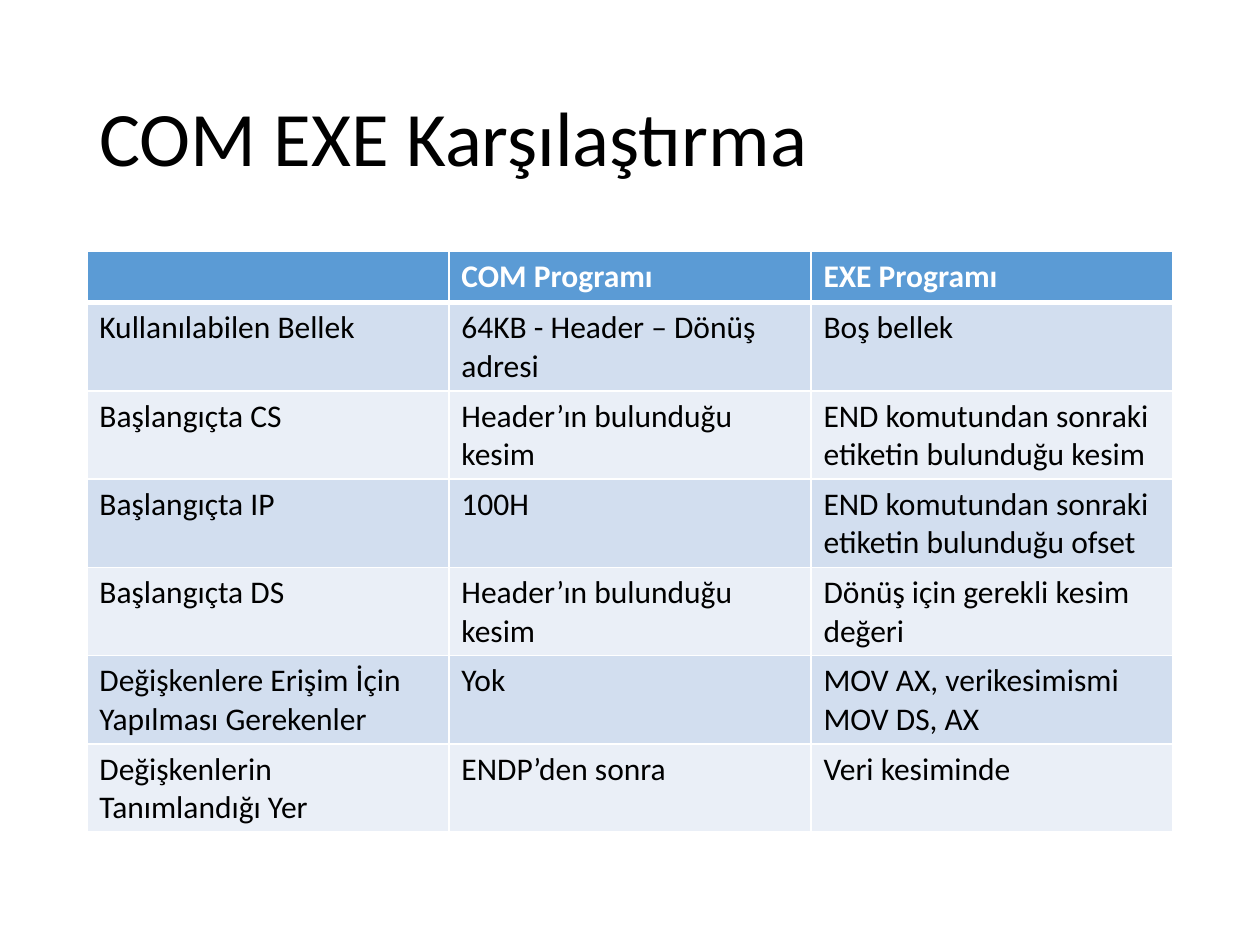
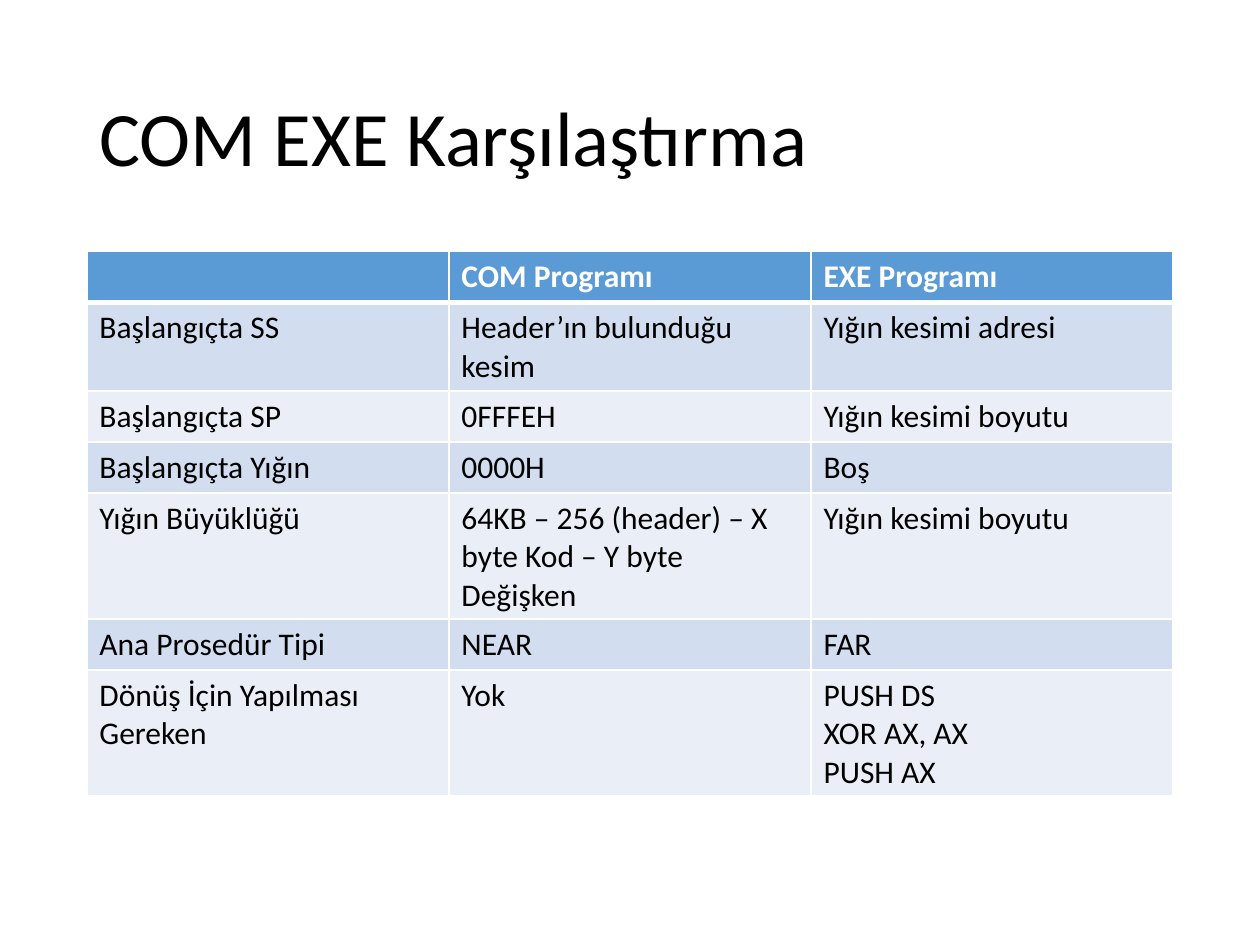
"""Build two slides that compare COM and EXE programs."""
import dataclasses

import lxml.etree
import pptx
import pptx.dml.color
import pptx.enum.text
import pptx.oxml.ns
import pptx.util

Cm = pptx.util.Cm
Pt = pptx.util.Pt


@dataclasses.dataclass(frozen=True)
class Theme:
    """Colours, font and type sizes of the deck."""
    font: str = "Calibri"
    ink: str = "000000"
    white: str = "FFFFFF"
    head: str = "5B9BD5"
    bands: tuple = ("D2DEEF", "EAEFF7")
    title: int = 44
    body: int = 18
    thin: int = 1
    thick: int = 3


THEME = Theme()
LEFT, WIDTH = Cm(1.75), Cm(21.9)
TITLE = "COM EXE Karşılaştırma"
HEADER = ("", "COM Programı", "EXE Programı")
MEMORY = (
    ("Kullanılabilen Bellek", "64KB - Header – Dönüş adresi", "Boş bellek"),
    ("Başlangıçta CS", "Header’ın bulunduğu kesim",
     "END komutundan sonraki etiketin bulunduğu kesim"),
    ("Başlangıçta IP", "100H",
     "END komutundan sonraki etiketin bulunduğu ofset"),
    ("Başlangıçta DS", "Header’ın bulunduğu kesim",
     "Dönüş için gerekli kesim değeri"),
    ("Değişkenlere Erişim İçin Yapılması Gerekenler", "Yok",
     "MOV AX, verikesimismi\nMOV DS, AX"),
    ("Değişkenlerin Tanımlandığı Yer", "ENDP’den sonra", "Veri kesiminde"),
)
STACK = (
    ("Başlangıçta SS", "Header’ın bulunduğu kesim", "Yığın kesimi adresi"),
    ("Başlangıçta SP", "0FFFEH", "Yığın kesimi boyutu"),
    ("Başlangıçta Yığın", "0000H", "Boş"),
    ("Yığın Büyüklüğü", "64KB – 256 (header) – X byte Kod – Y byte Değişken",
     "Yığın kesimi boyutu"),
    ("Ana Prosedür Tipi", "NEAR", "FAR"),
    ("Dönüş İçin Yapılması Gereken", "Yok", "PUSH DS\nXOR AX, AX\nPUSH AX"),
)


def shade(code):
    """Return the colour for a hex code."""
    return pptx.dml.color.RGBColor.from_string(code)


def write(frame, text, size=THEME.body, color=THEME.ink, bold=False, space=1.0):
    """Write each line of text as a paragraph in the given format."""
    frame.text = text
    for para in frame.paragraphs:
        para.line_spacing = space
        para.font.name = THEME.font
        para.font.size = Pt(size)
        para.font.bold = bold
        para.font.color.rgb = shade(color)


def edge(cell, sides):
    """Draw white cell borders, given widths in points by side."""
    props = cell._tc.get_or_add_tcPr()
    for place, side in enumerate("LRTB"):
        line = lxml.etree.Element(pptx.oxml.ns.qn(f"a:ln{side}"),
                                  w=str(Pt(sides.get(side, THEME.thin))))
        fill = lxml.etree.SubElement(line, pptx.oxml.ns.qn("a:solidFill"))
        lxml.etree.SubElement(fill, pptx.oxml.ns.qn("a:srgbClr"), val=THEME.white)
        props.insert(place, line)


def add_title(slide, text):
    """Add the slide title, centred vertically in its box."""
    frame = slide.shapes.add_textbox(LEFT, Cm(1.01), WIDTH, Cm(3.68)).text_frame
    frame.word_wrap = True
    frame.vertical_anchor = pptx.enum.text.MSO_ANCHOR.MIDDLE
    write(frame, text, size=THEME.title, space=0.9)


def add_grid(slide, rows):
    """Add a table with a header row and banded body rows."""
    height = Cm(1.03)
    lines = (HEADER, *rows)
    grid = slide.shapes.add_table(len(lines), len(HEADER), LEFT, Cm(5.07),
                                  WIDTH, height * len(lines)).table
    for row, line in enumerate(lines):
        grid.rows[row].height = height
        head = row == 0
        back = THEME.head if head else THEME.bands[(row - 1) % 2]
        sides = {0: {"B": THEME.thick}, 1: {"T": THEME.thick}}.get(row, {})
        for col, text in enumerate(line):
            cell = grid.cell(row, col)
            cell.fill.solid()
            cell.fill.fore_color.rgb = shade(back)
            edge(cell, sides)
            write(cell.text_frame, text, bold=head,
                  color=THEME.white if head else THEME.ink)


def main():
    """Build and save the deck."""
    deck = pptx.Presentation()
    deck.slide_width, deck.slide_height = Cm(25.4), Cm(19.05)
    for rows in (MEMORY, STACK):
        slide = deck.slides.add_slide(deck.slide_layouts[6])
        add_title(slide, TITLE)
        add_grid(slide, rows)
    deck.save("out.pptx")


if __name__ == "__main__":
    main()
